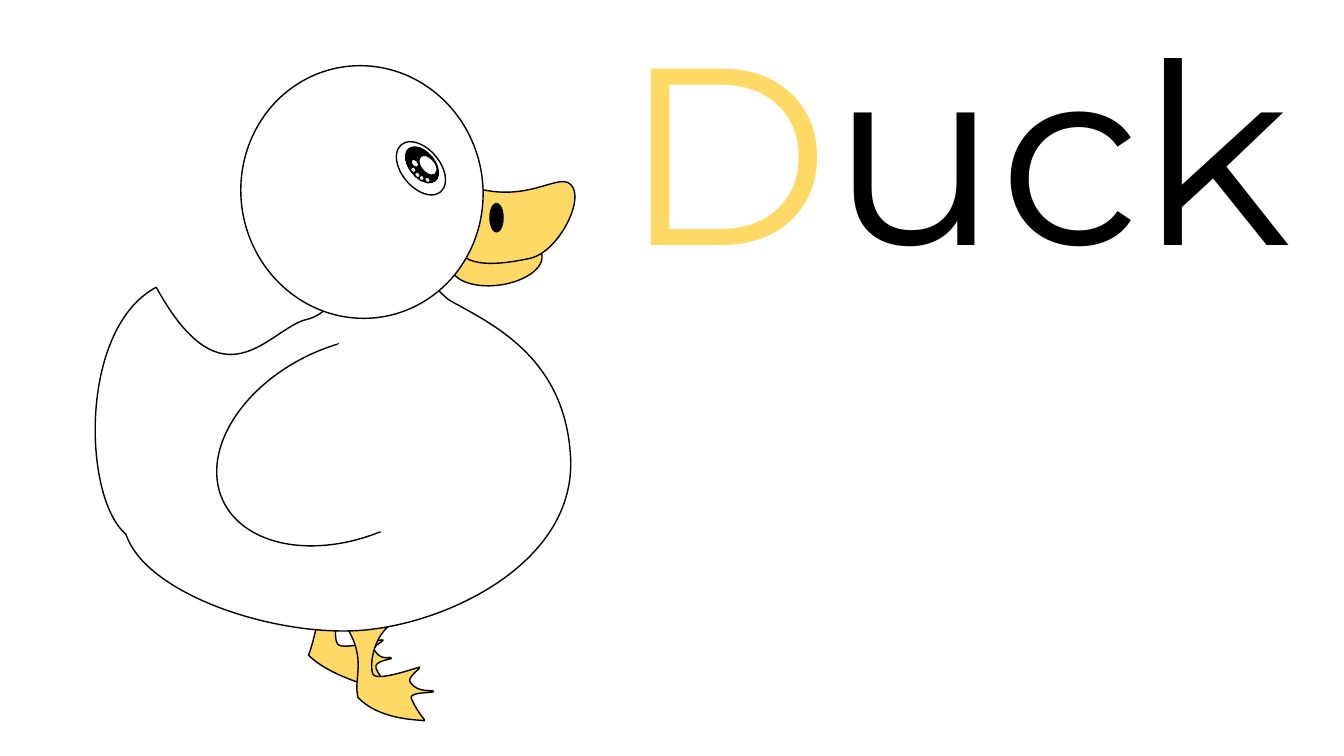
import math
import lxml.etree
import pptx
import pptx.util
import pptx.dml.color
import pptx.enum.shapes
import pptx.enum.text
import pptx.oxml.ns
from dataclasses import dataclass

SHAPE = pptx.enum.shapes.MSO_SHAPE
CELL = pptx.util.Inches(0.1)  # the slide is a grid of 133.3 columns by 75 rows
EYE_TILT = 50.2


@dataclass(frozen=True)
class Theme:
    font: str = "Montserrat"
    title_size: int = 180
    title_outline: float = 0.75
    line_width: float = 1
    yellow: str = "FFD966"
    white: str = "FFFFFF"
    black: str = "000000"
    glint: str = "DAE3F3"


THEME = Theme()

# Outlines: a start point, then straight (1 point) or curved (3 points) steps
FAR_FOOT = [
    (34.6, 58.8),
    [(32.2, 59)],
    [(31.7, 60.5), (31.2, 63.5), (30.6, 65)],
    [(32.7, 67.1), (37.3, 68.3), (38.4, 68.5)],
    [(39.5, 68.7), (38, 67.9), (37.3, 66.3)],
    [(37, 65.5), (39.1, 65.4), (38.8, 65.3)],
    [(38.9, 65), (37.9, 65.7), (37.2, 64.6)],
    [(36.7, 64.2), (38.1, 63.6), (38, 63.5)],
    [(38, 63.3), (34.1, 64.6), (33.5, 63.9)],
    [(32.9, 63.1), (33.6, 59.8), (34.6, 58.8)],
]
NEAR_FOOT = [
    (39.2, 61.7),
    [(33.9, 61.5)],
    [(36.6, 65.3), (35, 67), (35.5, 69.2)],
    [(37.6, 71.4), (41.3, 71.4), (42.1, 71.5)],
    [(42.3, 71.5), (41.5, 70.9), (40.8, 69.3)],
    [(40.5, 68.6), (43, 68.8), (43, 68.6)],
    [(43, 68.4), (41.4, 68.8), (40.7, 67.7)],
    [(40.3, 67.2), (41.8, 66.3), (41.6, 66.2)],
    [(41.7, 66.1), (37.4, 67.7), (37, 66.9)],
    [(36.6, 66.1), (37, 62.8), (39.2, 61.7)],
]
BODY = [
    (56.6, 45.4),
    [(56.1, 35.4), (48.7, 32.1), (44.6, 29.8)],
    [(41.6, 27.5), (40.3, 23.1), (37.9, 23.4)],
    [(35.6, 23.8), (34.2, 30.9), (30.4, 31.7)],
    [(26.7, 32.6), (22.2, 40.7), (15.5, 28.5)],
    [(7.8, 32.6), (8.2, 49.4), (12.5, 53)],
    [(14.6, 59.3), (28.6, 63.6), (37.1, 62.4)],
    [(45.6, 61.3), (57.1, 55.3), (56.6, 45.4)],
]
UPPER_BILL = [
    (56.6, 18.3),
    [(55.2, 16.9), (51.2, 21.4), (44.1, 17.3)],
    [(37, 13.1), (45, 22.8), (45.4, 24.7)],
    [(46.3, 26.7), (50, 26.2), (52.7, 25.6)],
    [(55.4, 24.9), (58.1, 19.7), (56.6, 18.3)],
]
GLINTS = [(42.1, 17.6), (41.5, 17.4), (41.1, 17.1), (40.7, 16.6)]


def grid(value):
    return round(value * CELL)


def colour(code):
    return pptx.dml.color.RGBColor.from_string(code)


def add_tag(parent, name, **attributes):
    tag = lxml.etree.SubElement(parent, pptx.oxml.ns.qn(name))
    for key, value in attributes.items():
        tag.set(key, str(value))
    return tag


def place(shape, box):
    shape.left, shape.top, shape.width, shape.height = map(grid, box)


def paint(shape, fill, outlined=True):
    shape.shadow.inherit = False
    shape.fill.solid()
    shape.fill.fore_color.rgb = colour(fill)
    if outlined:
        shape.line.color.rgb = colour(THEME.black)
        shape.line.width = pptx.util.Pt(THEME.line_width)
    else:
        shape.line.fill.background()


def add_part(group, kind, box, fill, angle=0, outlined=True):
    shape = group.shapes.add_shape(kind, *map(grid, box))
    shape.rotation = angle
    paint(shape, fill, outlined)
    return shape


def add_oval(group, box, fill, angle=0):
    return add_part(group, SHAPE.OVAL, box, fill, angle)


def turn_into_frame(point, box, angle):
    """Give a slide point as an offset inside a frame that is rotated by angle."""
    left, top, width, height = box
    across, down = point[0] - left - width / 2, point[1] - top - height / 2
    cos, sin = math.cos(math.radians(angle)), math.sin(math.radians(angle))
    return (grid(across * cos + down * sin + width / 2),
            grid(down * cos - across * sin + height / 2))


def add_outline(group, outline, box, fill, angle=0):
    start, *steps = outline
    builder = group.shapes.build_freeform(*map(grid, start))
    builder.add_line_segments([tuple(map(grid, step[-1])) for step in steps], close=True)
    shape = builder.convert_to_shape()
    place(shape, box)
    shape.rotation = angle
    paint(shape, fill)
    # Curved segments replace the straight ones
    trace = shape._element.xpath(".//a:path")[0]
    for segment in list(trace):
        trace.remove(segment)
    trace.set("w", str(shape.width))
    trace.set("h", str(shape.height))
    for step in [[start], *steps]:
        name = "a:cubicBezTo" if len(step) == 3 else "a:lnTo"
        segment = add_tag(trace, "a:moveTo" if step[0] is start else name)
        for point in step:
            x, y = turn_into_frame(point, box, angle)
            add_tag(segment, "a:pt", x=x, y=y)
    add_tag(trace, "a:close")


def outline_letter(span):
    properties = span.font._element
    line = add_tag(properties, "a:ln", w=pptx.util.Pt(THEME.title_outline))
    add_tag(add_tag(line, "a:solidFill"), "a:srgbClr", val=THEME.black)
    properties.insert(0, line)


def add_title(page):
    box = page.shapes.title
    place(box, (60.7, -1.1, 71.3, 31.3))
    frame = box.text_frame
    frame.word_wrap = True
    frame.auto_size = pptx.enum.text.MSO_AUTO_SIZE.SHAPE_TO_FIT_TEXT
    frame.vertical_anchor = pptx.enum.text.MSO_ANCHOR.TOP
    para = frame.paragraphs[0]
    para.text = "D"
    para.add_run().text = "uck"
    para.alignment = pptx.enum.text.PP_ALIGN.LEFT
    for span, code in zip(para.runs, (THEME.yellow, THEME.black)):
        span.font.name = THEME.font
        span.font.size = pptx.util.Pt(THEME.title_size)
        span.font.color.rgb = colour(code)
    outline_letter(para.runs[0])


def add_eye(duck):
    add_oval(duck, (38.7, 14.8, 6.1, 3.8), THEME.white, EYE_TILT)
    add_oval(duck, (39.8, 15.1, 4.1, 2.5), THEME.black, EYE_TILT)
    add_oval(duck, (41.3, 15.7, 2.3, 1.4), THEME.white, EYE_TILT)
    for left, top in GLINTS:
        add_oval(duck, (left, top, 0.6, 0.5), THEME.glint, EYE_TILT)
    add_oval(duck, (40.7, 15.9, 0.9, 0.6), THEME.white, EYE_TILT)


def add_wing(duck):
    add_oval(duck, (20.8, 34.3, 27.9, 18.9), THEME.white, 154.9)
    # A plain rounded cover leaves the wing open towards the breast
    cover = add_part(duck, SHAPE.ROUNDED_RECTANGLE, (29.5, 33.2, 22, 18.9),
                     THEME.white, 59.1, outlined=False)
    cover.adjustments[0] = 0.5


def add_duck(page):
    duck = page.shapes.add_group_shape()
    # Feet and body
    add_outline(duck, FAR_FOOT, (30.6, 58.8, 8.2, 9.8), THEME.yellow)
    add_outline(duck, NEAR_FOOT, (33.9, 61.5, 9.1, 10), THEME.yellow)
    add_outline(duck, BODY, (9.6, 24.6, 46.6, 38.3), THEME.white, 350.3)
    # Bill, head and nostril
    add_oval(duck, (44.7, 23.6, 9.1, 4.7), THEME.yellow, 352.3)
    add_outline(duck, UPPER_BILL, (43.1, 12.9, 13.5, 13.4), THEME.yellow, 334.1)
    add_oval(duck, (23.9, 6.5, 24, 25.1), THEME.white, 350.3)
    add_oval(duck, (48.6, 20.2, 1.3, 2.8), THEME.black)
    add_eye(duck)
    add_wing(duck)


def main():
    deck = pptx.Presentation()
    deck.slide_width = pptx.util.Inches(13.33)
    deck.slide_height = pptx.util.Inches(7.5)
    page = deck.slides.add_slide(deck.slide_layouts.get_by_name("Title Only"))
    add_title(page)
    add_duck(page)
    deck.save("out.pptx")


if __name__ == "__main__":
    main()
